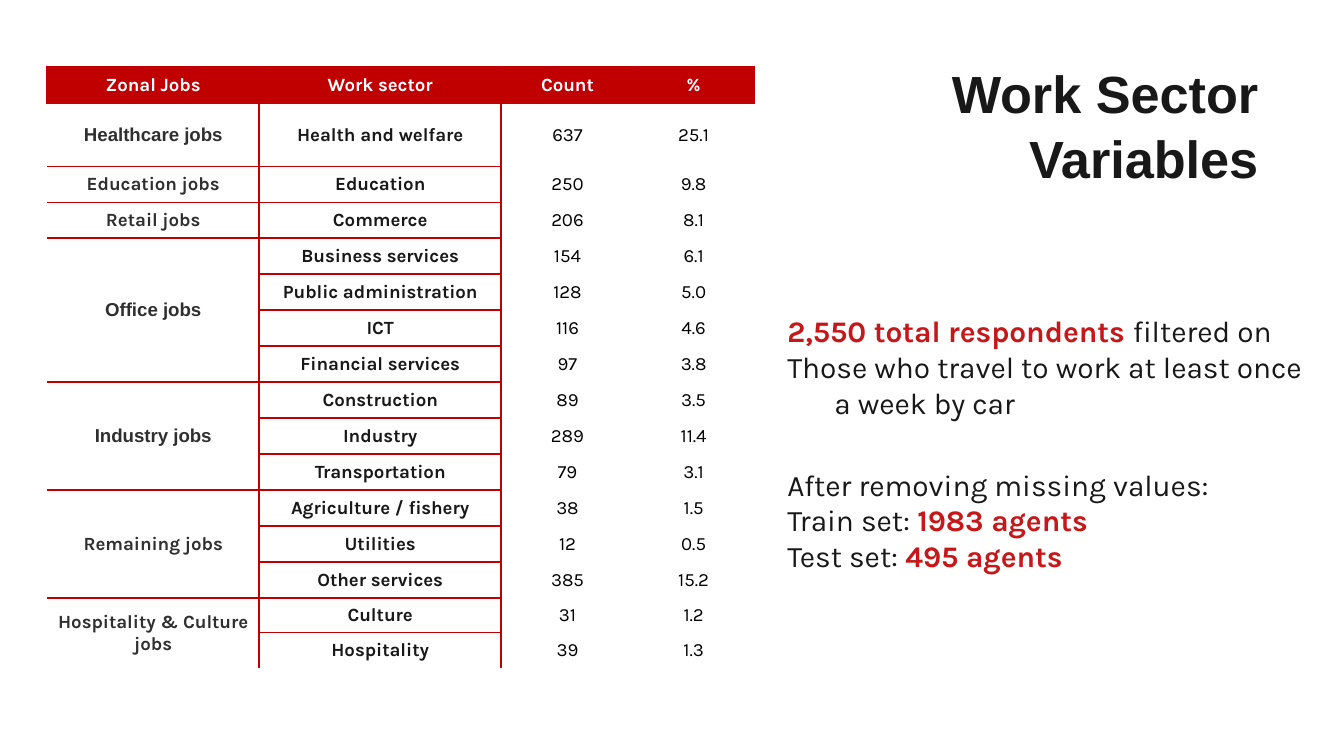
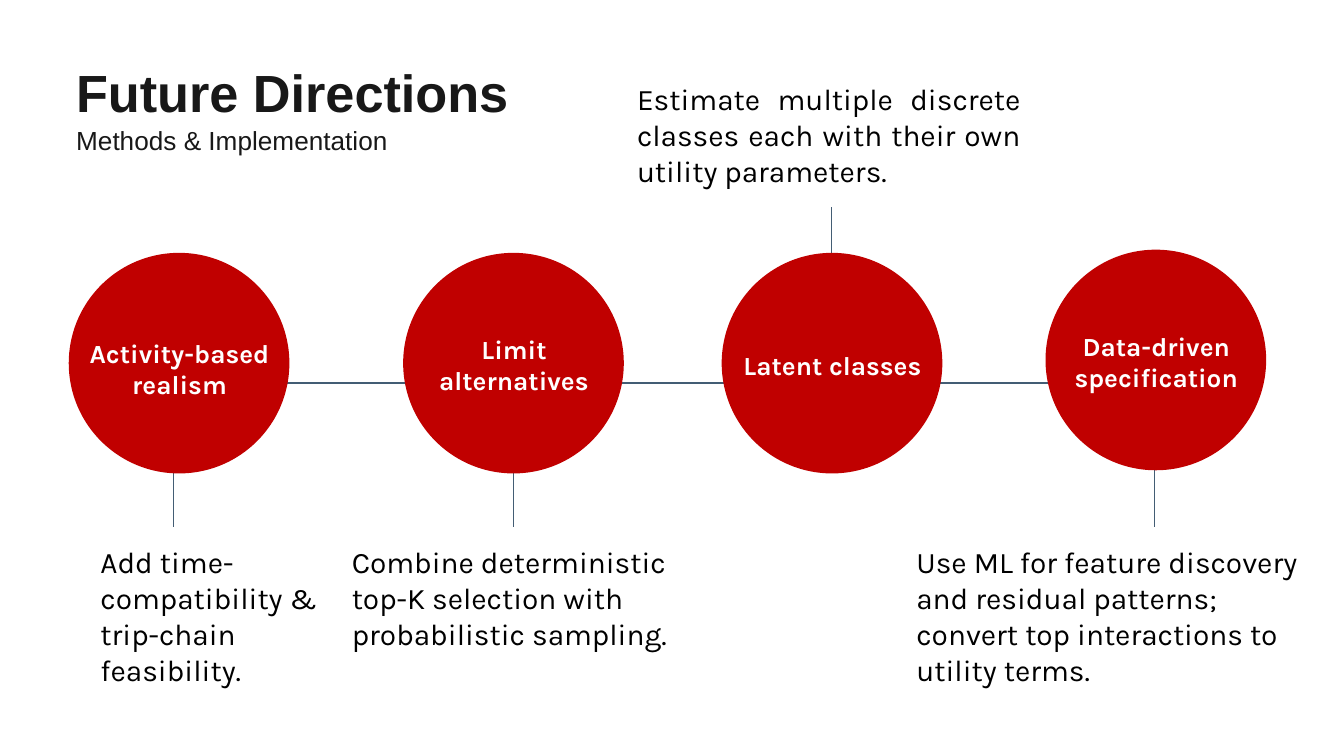
from pptx import Presentation
from pptx.dml.color import RGBColor
from pptx.enum.shapes import MSO_CONNECTOR, MSO_SHAPE
from pptx.enum.text import MSO_ANCHOR, PP_ALIGN
from pptx.oxml.ns import qn
from pptx.util import Cm, Pt
from lxml.etree import SubElement

COLORS = {"red": "C00000", "accent": "C61719", "ink": "181818", "group": "2F2F2F",
          "line": "435D74", "black": "000000", "white": "FFFFFF"}
HEAD, BODY = "Arial", "Karla"
INSET = 0.25

# Work sectors: group, group font, rows of (sector, count, percent)
HEADER = ["Zonal Jobs", "Work sector", "Count", "%"]
GROUPS = [
    ("Healthcare jobs", HEAD, [("Health and welfare", "637", "25.1")]),
    ("Education jobs", BODY, [("Education", "250", "9.8")]),
    ("Retail jobs", BODY, [("Commerce", "206", "8.1")]),
    ("Office jobs", HEAD, [("Business services", "154", "6.1"),
                           ("Public administration", "128", "5.0"),
                           ("ICT", "116", "4.6"),
                           ("Financial services", "97", "3.8")]),
    ("Industry jobs", HEAD, [("Construction", "89", "3.5"),
                             ("Industry", "289", "11.4"),
                             ("Transportation", "79", "3.1")]),
    ("Remaining jobs", BODY, [("Agriculture / fishery", "38", "1.5"),
                              ("Utilities", "12", "0.5"),
                              ("Other services", "385", "15.2")]),
    ("Hospitality & Culture jobs", BODY, [("Culture", "31", "1.2"),
                                          ("Hospitality", "39", "1.3")]),
]
COL_WIDTHS = [4.01, 4.57, 2.51, 2.26]
ROW_HEIGHTS = [0.69, 1.17] + [0.68] * 12 + [0.65, 0.68]

# Respondent notes: box top, paragraphs of (text, highlighted)
RESPONDENTS = [
    (5.89, [[("2,550 total respondents ", True), ("filtered on", False)],
            [("Those who travel to work at least once a week by car", False)]]),
    (8.79, [[("After removing missing values:", False)],
            [("Train set: ", False), ("1983 agents", True)],
            [("Test set: ", False), ("495 agents", True)]]),
]

# Directions: label, label top, circle left and top, stem x, note, note box, alignment
DIRECTIONS = [
    ("Activity-based realism", 6.25, 1.3, 4.78, 3.28,
     "Add time-compatibility & trip-chain feasibility.",
     (1.65, 10.16, 5.03, 3), PP_ALIGN.LEFT),
    ("Limit alternatives", 6.17, 7.62, 4.78, 9.7,
     "Combine deterministic top-K selection with probabilistic sampling.",
     (6.4, 10.16, 6.58, 2.31), PP_ALIGN.LEFT),
    ("Latent classes", 6.48, 13.64, 4.78, 15.72,
     "Estimate multiple discrete classes each with their own utility parameters.",
     (11.79, 1.4, 7.75, 2.31), PP_ALIGN.JUSTIFY),
    ("Data-driven specification", 6.12, 19.76, 4.72, 21.82,
     "Use ML for feature discovery and residual patterns; "
     "convert top interactions to utility terms.",
     (17.07, 10.16, 7.9, 3), PP_ALIGN.LEFT),
]
DIAMETER = 4.17
AXIS_Y = 7.24


def rgb(name):
    return RGBColor.from_string(COLORS[name])


def add_run(p, text, size, color, bold=False, font=BODY):
    r = p.add_run()
    r.text = text
    r.font.size, r.font.bold, r.font.name = Pt(size), bold, font
    r.font.color.rgb = rgb(color)


def add_box(s, left, top, width, height, inset=None):
    """Wrapping text box; with an inset, it is also centred vertically."""
    tf = s.shapes.add_textbox(Cm(left), Cm(top), Cm(width), Cm(height)).text_frame
    tf.word_wrap = True
    if inset is not None:
        tf.margin_left = tf.margin_right = tf.margin_top = tf.margin_bottom = Cm(inset)
        tf.vertical_anchor = MSO_ANCHOR.MIDDLE
    return tf


def add_title(s, left, top, title, subtitle=None, align=PP_ALIGN.LEFT):
    p = add_box(s, left, top, 9.78, 2.13, INSET).paragraphs[0]
    p.alignment, p.line_spacing = align, 1.05
    add_run(p, title, 28, "ink", True, HEAD)
    if subtitle:
        p.add_line_break()
        add_run(p, subtitle, 14, "ink", False, HEAD)


def add_line(s, x1, y1, x2, y2, width):
    c = s.shapes.add_connector(MSO_CONNECTOR.STRAIGHT, Cm(x1), Cm(y1), Cm(x2), Cm(y2))
    c.line.color.rgb, c.line.width = rgb("line"), Pt(width)
    SubElement(c._element.spPr, qn("a:effectLst"))


def fill_cell(cell, text, color, bold, edges, width=1, font=BODY, inset=0, fill=None):
    """Write a centred cell with red lines on the given edges (letters of LRTB)."""
    cell.margin_left = cell.margin_right = Cm(inset)
    cell.margin_top = cell.margin_bottom = Cm(inset)
    cell.vertical_anchor = MSO_ANCHOR.MIDDLE
    p = cell.text_frame.paragraphs[0]
    p.alignment = PP_ALIGN.CENTER
    if text:
        add_run(p, text, 10, color, bold, font)
    tcPr = cell._tc.get_or_add_tcPr()
    for edge in "LRTB":
        ln = SubElement(tcPr, qn("a:ln" + edge), w=str(Pt(width)))
        if edge in edges:
            solid = SubElement(ln, qn("a:solidFill"))
            SubElement(solid, qn("a:srgbClr"), val=COLORS["red"])
        else:
            SubElement(ln, qn("a:noFill"))
    if fill:
        cell.fill.solid()
        cell.fill.fore_color.rgb = rgb(fill)
    else:
        cell.fill.background()


def add_sector_table(s):
    table = s.shapes.add_table(len(ROW_HEIGHTS), len(COL_WIDTHS), Cm(0.89), Cm(1.27),
                               Cm(sum(COL_WIDTHS)), Cm(sum(ROW_HEIGHTS))).table
    table.first_row = table.horz_banding = False
    for col, width in zip(table.columns, COL_WIDTHS):
        col.width = Cm(width)
    for row, height in zip(table.rows, ROW_HEIGHTS):
        row.height = Cm(height)
    for c, text in enumerate(HEADER):
        fill_cell(table.cell(0, c), text, "white", True, "LRT", 1.5, fill="red")

    last = len(ROW_HEIGHTS) - 1
    row = 1
    for group, font, sectors in GROUPS:
        first, end = row, row + len(sectors) - 1
        for sector, count, percent in sectors:
            inset = 0.38 if row == 1 else 0
            top = "T" if row > 1 else ""
            bottom = "B" if row < last else ""
            if row == first:
                fill_cell(table.cell(row, 0), group, "group", True,
                          "R" + top + ("B" if end < last else ""), font=font, inset=inset)
            else:
                fill_cell(table.cell(row, 0), "", "group", True, "R")
            fill_cell(table.cell(row, 1), sector, "ink", True, "LR" + top + bottom,
                      inset=inset)
            fill_cell(table.cell(row, 2), count, "black", False, "L")
            fill_cell(table.cell(row, 3), percent, "black", False, "")
            row += 1
        if end > first:
            table.cell(first, 0).merge(table.cell(end, 0))


def work_sector_slide(s):
    add_title(s, 14.25, 1.27, "Work Sector Variables", align=PP_ALIGN.RIGHT)
    add_sector_table(s)
    for top, paragraphs in RESPONDENTS:
        tf = add_box(s, 14.25, top, 10.67, 2.08, INSET)
        for i, runs in enumerate(paragraphs):
            p = tf.add_paragraph() if i else tf.paragraphs[0]
            pPr = p._p.get_or_add_pPr()
            pPr.set("marL", str(Cm(1.27)))
            pPr.set("indent", str(-Cm(0.89)))
            for text, strong in runs:
                add_run(p, text, 16, "accent" if strong else "ink", strong)


def future_slide(s):
    add_title(s, 1.19, 0.94, "Future Directions", "Methods & Implementation")
    add_line(s, 4.34, AXIS_Y, 21.36, AXIS_Y, 1.5)
    for _, _, left, top, stem_x, _, note_box, _ in DIRECTIONS:
        stem = (8.48, 9.96) if note_box[1] > AXIS_Y else (5.56, 3.91)
        add_line(s, stem_x, stem[0], stem_x, stem[1], 0.75)
        sp = s.shapes.add_shape(MSO_SHAPE.OVAL, Cm(left), Cm(top), Cm(DIAMETER), Cm(DIAMETER))
        sp.shadow.inherit = False
        sp.fill.solid()
        sp.fill.fore_color.rgb = rgb("red")
        sp.line.fill.background()
    for label, label_top, left, _, _, note, note_box, align in DIRECTIONS:
        p = add_box(s, left - 0.05, label_top, DIAMETER + 0.12, 1.45).paragraphs[0]
        p.alignment = PP_ALIGN.CENTER
        add_run(p, label, 14, "white", True)
        p = add_box(s, *note_box).paragraphs[0]
        p.alignment = align
        add_run(p, note, 16, "black")


def main():
    prs = Presentation()
    prs.slide_width, prs.slide_height = Cm(25.4), Cm(14.29)
    for build in (work_sector_slide, future_slide):
        build(prs.slides.add_slide(prs.slide_layouts[6]))
    prs.save("out.pptx")


if __name__ == "__main__":
    main()
